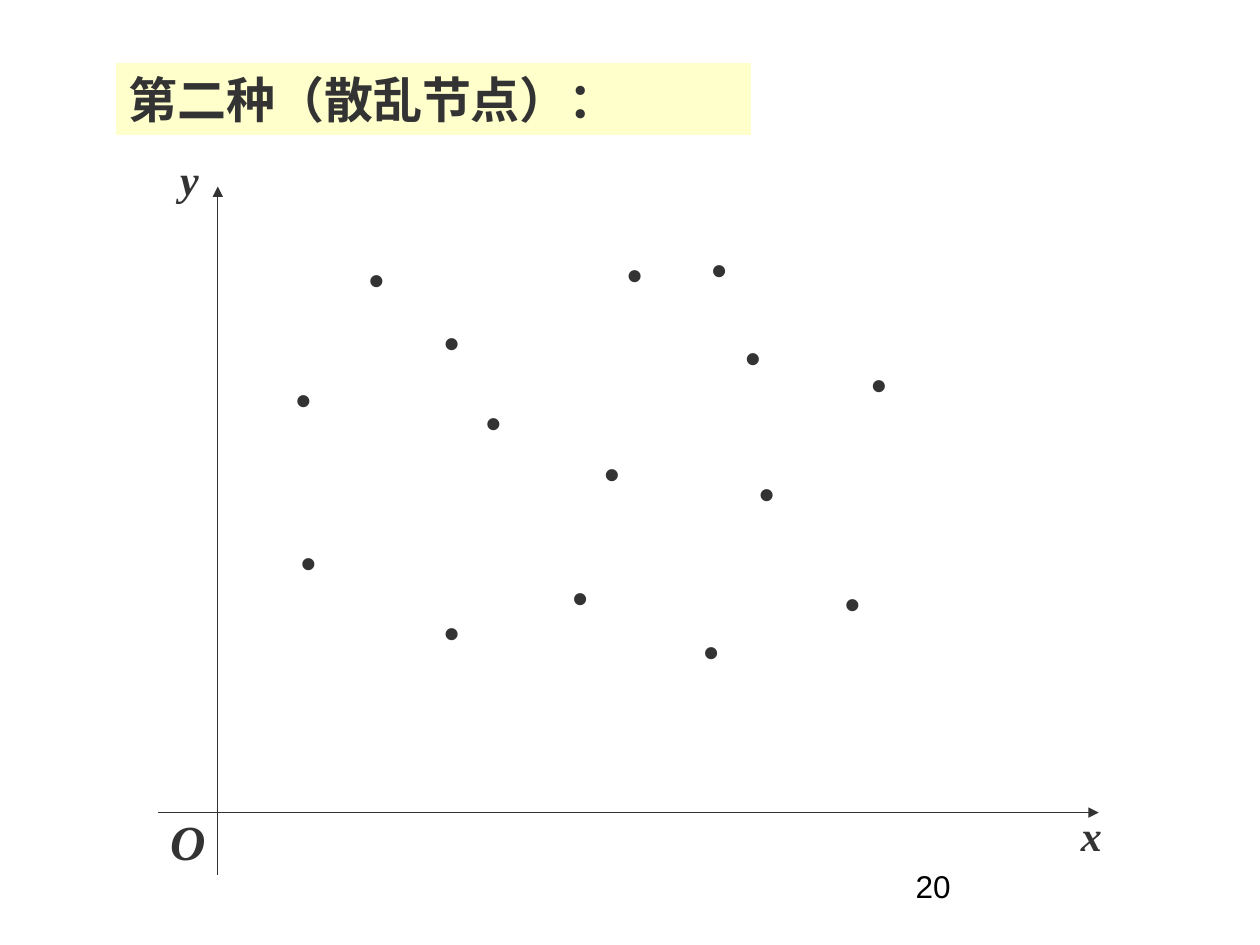
from dataclasses import dataclass

from lxml import etree
from pptx import Presentation
from pptx.dml.color import RGBColor
from pptx.enum.shapes import MSO_CONNECTOR
from pptx.enum.text import MSO_ANCHOR, MSO_AUTO_SIZE, PP_ALIGN
from pptx.oxml.ns import qn
from pptx.util import Cm, Pt

STRAIGHT = MSO_CONNECTOR.STRAIGHT
TOP = MSO_ANCHOR.TOP
FIXED = MSO_AUTO_SIZE.NONE
LEFT = PP_ALIGN.LEFT
TITLE_ONLY = 5


@dataclass(frozen=True)
class Theme:
    ink: RGBColor = RGBColor(0x33, 0x33, 0x33)
    black: RGBColor = RGBColor(0, 0, 0)
    band: RGBColor = RGBColor(0xFF, 0xFF, 0xCC)
    large: Pt = Pt(28)
    label: Pt = Pt(24)
    small: Pt = Pt(18)
    rule: Pt = Pt(0.75)
    serif: str = "Times New Roman"
    sans: str = "Arial"


THEME = Theme()
HEAD = dict(name=THEME.serif, size=THEME.large, bold=True, color=THEME.ink)
AXIS = dict(HEAD, size=THEME.label, italic=True)
ZERO = dict(AXIS, size=THEME.large)
NODE = dict(HEAD, name=THEME.sans, size=THEME.label)
PAGE = dict(name=THEME.sans, size=THEME.small, color=THEME.black)

# Scattered nodes: left and top of each mark in the plot, in cm
NODES = [
    (4.01, 2.01), (5.53, 3.28), (8.76, 5.92), (10.92, 1.81), (11.6, 3.58),
    (9.22, 1.91), (11.88, 6.33), (14.14, 4.12), (6.37, 4.9), (2.54, 4.42),
    (2.64, 7.72), (5.53, 9.12), (8.12, 8.43), (10.76, 9.5), (13.61, 8.54),
]


def write(shape, text, style):
    """Put one styled line of text in a shape."""
    frame = shape.text_frame
    frame.text = text
    layout = dict(word_wrap=True, auto_size=FIXED, vertical_anchor=TOP,
                  margin_left=Cm(0.25), margin_right=Cm(0.25),
                  margin_top=Cm(0.13), margin_bottom=Cm(0.13))
    for key, value in layout.items():
        setattr(frame, key, value)
    line = frame.paragraphs[0]
    line.alignment = LEFT
    font = line.runs[0].font
    for key, value in style.items():
        if key == "color":
            font.color.rgb = value
        else:
            setattr(font, key, value)


def label(shapes, box, text, style):
    left, top, width, height = map(Cm, box)
    write(shapes.add_textbox(left, top, width, height), text, style)


def arrow(shapes, start, end):
    """Draw a thin line with an arrowhead at its end."""
    line = shapes.add_connector(STRAIGHT, *map(Cm, start + end))
    line.line.color.rgb = THEME.ink
    line.line.width = THEME.rule
    tip = etree.SubElement(line.line._get_or_add_ln(), qn("a:tailEnd"))
    tip.set("type", "triangle")
    etree.SubElement(line._element.spPr, qn("a:effectLst"))


def heading(slide, box, text):
    title = slide.shapes.title
    title.left, title.top, title.width, title.height = map(Cm, box)
    title.fill.solid()
    title.fill.fore_color.rgb = THEME.band
    write(title, text, HEAD)


def plot(slide, box):
    left, top, width, height = box
    shapes = slide.shapes.add_group_shape().shapes

    # Axes, crossing at the origin
    across, down = left + 1.21, top + 13.41
    arrow(shapes, (left, down), (left + 18.97, down))
    arrow(shapes, (across, top + height), (across, top + 0.79))

    # Nodes
    for x, y in NODES:
        label(shapes, (left + x, top + y, 1.75, 1.27), "•", NODE)

    # Axis names
    names = [("y", 0.2, 0, 1.47, 1.27, AXIS),
             ("x", width - 1.85, 13.21, 1.85, 1.27, AXIS),
             ("O", 0, 13.26, 1.22, 1.45, ZERO)]
    for text, x, y, wide, high, style in names:
        label(shapes, (left + x, top + y, wide, high), text, style)


def main():
    deck = Presentation()
    deck.slide_width, deck.slide_height = Cm(25.4), Cm(19.05)
    slide = deck.slides.add_slide(deck.slide_layouts[TITLE_ONLY])
    heading(slide, (2.34, 1.27, 12.8, 1.45), "第二种（散乱节点）：")
    plot(slide, (3.18, 2.97, 20.21, 14.66))
    label(slide.shapes, (18.21, 17.35, 5.28, 1.27), "20", PAGE)
    deck.save("out.pptx")


if __name__ == "__main__":
    main()
